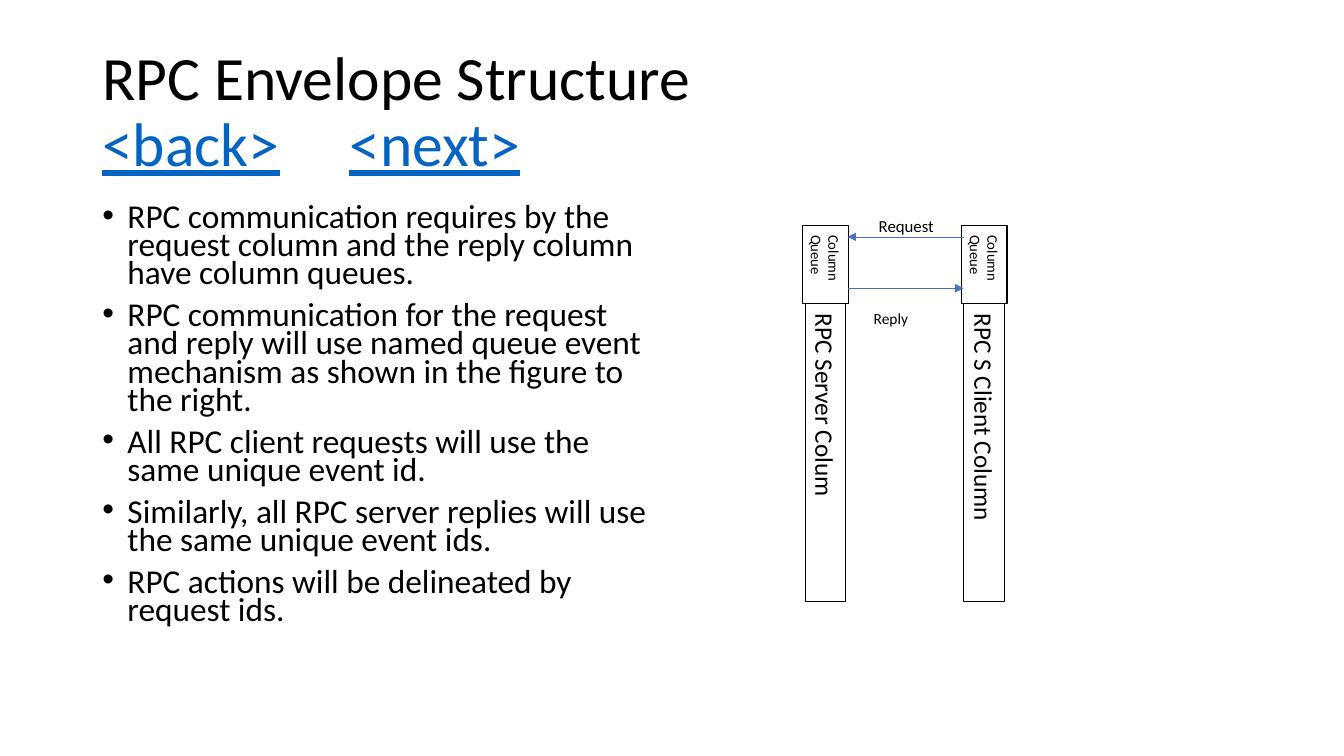
from dataclasses import dataclass

import lxml.etree
import pptx
import pptx.dml.color
import pptx.enum.shapes
import pptx.enum.text
import pptx.oxml.ns
import pptx.util

Pt = pptx.util.Pt
qn = pptx.oxml.ns.qn
ANCHOR = pptx.enum.text.MSO_ANCHOR
COLORS = {"text": "000000", "link": "0563C1", "arrow": "4472C4"}
FONT = "Calibri"
COLUMN_GAP = 113.5
NEXT_TAB = 176.5
BULLET_INDENT = 18


@dataclass
class Column:
    """A column with its queue on top, both turned a quarter clockwise."""
    name: str
    center: float


@dataclass
class Message:
    label: str
    size: float
    label_box: tuple[float, float, float, float]
    start: float
    end: float
    y: float


SERVER_CENTER = 589.5
COLUMNS = [
    Column("RPC Server Colum", SERVER_CENTER),
    Column("RPC S Client Column", SERVER_CENTER + COLUMN_GAP),
]
SERVER_EDGE, CLIENT_EDGE = 605.5, 688.3
MESSAGES = [
    Message("Request", 12, (620.6, 150.5, 54, 21.6), CLIENT_EDGE, SERVER_EDGE, 169.2),
    Message("Reply", 11, (617, 217.4, 39.6, 20.9), SERVER_EDGE, CLIENT_EDGE, 205.9),
]
BULLETS = [
    "RPC communication requires by the request column and the reply column "
    "have column queues.",
    "RPC communication for the request and reply will use named queue event "
    "mechanism as shown in the figure to the right.",
    "All RPC client requests will use the same unique event id.",
    "Similarly, all RPC server replies will use the same unique event ids.",
    "RPC actions will be delineated by request ids.",
]


def rgb(name: str) -> pptx.dml.color.RGBColor:
    return pptx.dml.color.RGBColor.from_string(COLORS[name])


def add_run(p, text: str, *, size: float, color: str = "text",
            underline: bool = False) -> None:
    r = p.add_run()
    r.text = text
    r.font.name = FONT
    r.font.size = Pt(size)
    r.font.color.rgb = rgb(color)
    if underline:
        r.font.underline = True


def add_lines(tf, lines: list[str], *, size: float) -> None:
    """Write one left-aligned paragraph per line."""
    for i, line in enumerate(lines):
        p = tf.paragraphs[0] if i == 0 else tf.add_paragraph()
        p.alignment = pptx.enum.text.PP_ALIGN.LEFT
        add_run(p, line, size=size)


def add_text_box(s, box: tuple[float, float, float, float], *,
                 anchor=ANCHOR.TOP, wrap: bool = True):
    tf = s.shapes.add_textbox(*map(Pt, box)).text_frame
    tf.word_wrap = wrap
    tf.vertical_anchor = anchor
    return tf


def add_title(s) -> None:
    tf = add_text_box(s, (66, 28.8, 828, 104.4), anchor=ANCHOR.MIDDLE)
    p = tf.paragraphs[0]
    p.line_spacing = 0.9
    tabs = lxml.etree.SubElement(p._p.get_or_add_pPr(), qn("a:tabLst"))
    lxml.etree.SubElement(tabs, qn("a:tab"), pos=str(int(Pt(NEXT_TAB))), algn="l")
    add_run(p, "RPC Envelope Structure", size=44)
    p.add_line_break()
    add_run(p, "<back>", size=44, color="link", underline=True)
    add_run(p, "\t", size=44)
    add_run(p, "<next>", size=44, color="link", underline=True)


def add_bullets(s) -> None:
    tf = add_text_box(s, (66, 144, 408.2, 342.7))
    add_lines(tf, BULLETS, size=23.8)
    for p in tf.paragraphs:
        p.line_spacing = 0.7
        p.space_before = Pt(10)
        ppr = p._p.get_or_add_pPr()
        ppr.set("marL", str(int(Pt(BULLET_INDENT))))
        ppr.set("indent", str(-int(Pt(BULLET_INDENT))))
        lxml.etree.SubElement(ppr, qn("a:buFont"), typeface="Arial")
        lxml.etree.SubElement(ppr, qn("a:buChar"), char="•")


def add_turned_box(s, lines: list[str], *, center: tuple[float, float],
                   length: float, thickness: float, size: float) -> None:
    x, y = center
    sp = s.shapes.add_shape(
        pptx.enum.shapes.MSO_SHAPE.RECTANGLE, Pt(x - length / 2),
        Pt(y - thickness / 2), Pt(length), Pt(thickness))
    sp.rotation = 90
    sp.shadow.inherit = False
    sp.fill.background()
    sp.line.color.rgb = rgb("text")
    sp.line.width = Pt(0.75)
    tf = sp.text_frame
    tf.word_wrap = True
    tf.vertical_anchor = ANCHOR.TOP
    add_lines(tf, lines, size=size)


def add_column(s, column: Column) -> None:
    add_turned_box(s, [column.name], center=(column.center, 323.3),
                   length=212.4, thickness=29, size=18)
    add_turned_box(s, ["Column", "Queue"], center=(column.center, 189),
                   length=56.2, thickness=32.6, size=10.5)


def add_message(s, message: Message) -> None:
    """Draw the arrow of a message and its label."""
    line = s.shapes.add_connector(
        pptx.enum.shapes.MSO_CONNECTOR.STRAIGHT, Pt(message.start),
        Pt(message.y), Pt(message.end), Pt(message.y))
    line.line.color.rgb = rgb("arrow")
    line.line.width = Pt(0.5)
    lxml.etree.SubElement(line.line._get_or_add_ln(), qn("a:tailEnd"), type="triangle")
    lxml.etree.SubElement(line._element.spPr, qn("a:effectLst"))
    tf = add_text_box(s, message.label_box, wrap=False)
    add_lines(tf, [message.label], size=message.size)


def main() -> None:
    prs = pptx.Presentation()
    prs.slide_width, prs.slide_height = Pt(960), Pt(540)
    s = prs.slides.add_slide(prs.slide_layouts[6])
    add_title(s)
    add_bullets(s)
    for column in COLUMNS:
        add_column(s, column)
    for message in MESSAGES:
        add_message(s, message)
    prs.save("out.pptx")


if __name__ == "__main__":
    main()
